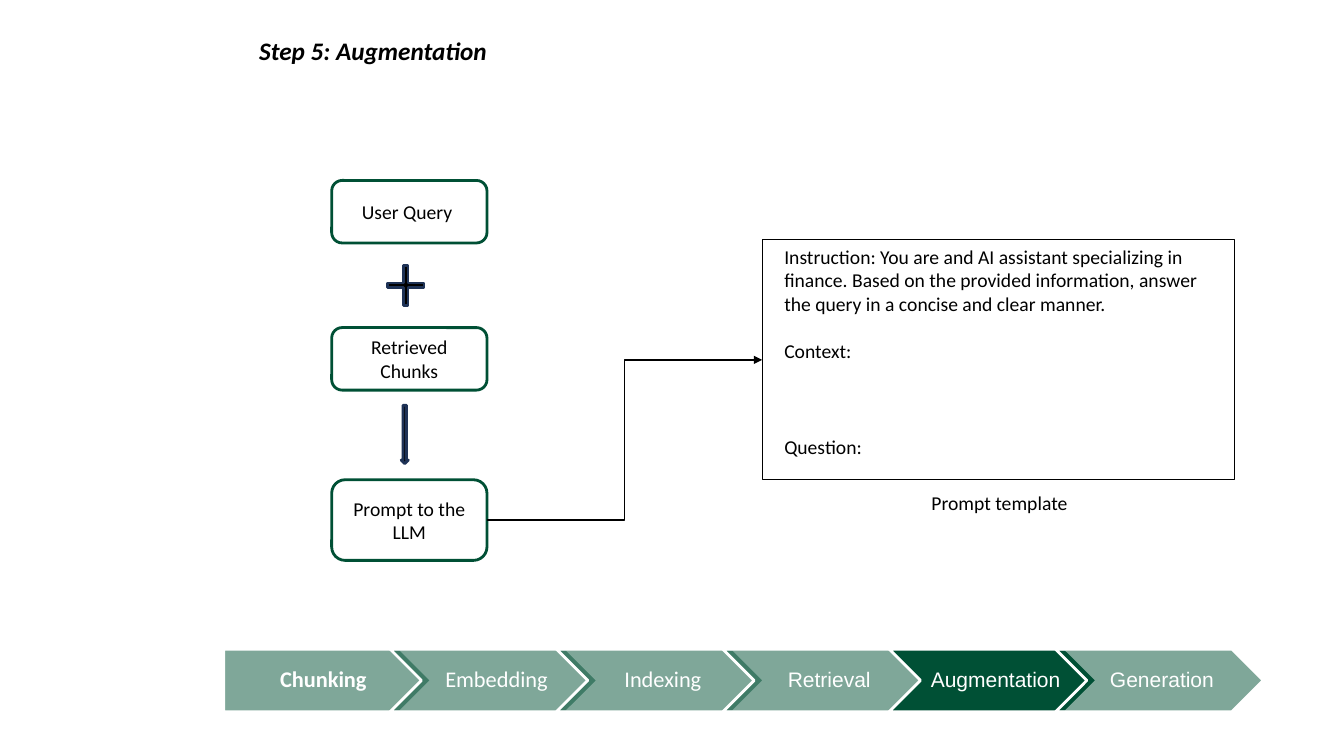
"""Build the slide on the augmentation step of a retrieval pipeline."""
from lxml import etree
from pptx import Presentation
from pptx.dml.color import RGBColor
from pptx.enum.shapes import MSO_CONNECTOR as Connector, MSO_SHAPE as Shape
from pptx.enum.text import MSO_ANCHOR as Anchor, PP_ALIGN as Align
from pptx.oxml.ns import qn
from pptx.util import Inches, Pt

BLACK = RGBColor(0x00, 0x00, 0x00)
WHITE = RGBColor(0xFF, 0xFF, 0xFF)
GREEN = RGBColor(0x00, 0x50, 0x35)
NAVY = RGBColor(0x1E, 0x32, 0x56)

BODY = {"name": "Calibri", "size": Pt(14), "bold": False}
TITLE = {"name": "Calibri", "size": Pt(18), "bold": True, "italic": True}
STAGE_CALIBRI = {"name": "Calibri", "size": Pt(16), "bold": False}
STAGE_ARIAL = {"name": "Arial", "size": Pt(15), "bold": False}

STAGES = [
    ("Chunking", {**STAGE_CALIBRI, "bold": True}),
    ("Embedding", STAGE_CALIBRI),
    ("Indexing", STAGE_CALIBRI),
    ("Retrieval", STAGE_ARIAL),
    ("Augmentation", STAGE_ARIAL),
    ("Generation", STAGE_ARIAL),
]
CURRENT_STAGE = "Augmentation"
STAGE_LEFT, STAGE_TOP, STAGE_STEP = 2.22, 6.44, 1.65
STAGE_WIDTH, STAGE_HEIGHT = 2.06, 0.62

FLOW_BOXES = [
    ("User Query ", 1.79, 0.62),
    ("Retrieved Chunks", 3.25, 0.62),
    ("Prompt to the LLM", 4.76, 0.8),
]
PROMPT_PARTS = [
    ("Instruction: You are and AI assistant specializing in finance. Based on "
     "the provided information, answer the query in a concise and clear manner.", 0),
    ("Context:", 1),
    ("Question:", 3),
]
BLANK_LINE = 17.1


def set_all(target, values):
    """Set every attribute named in values on the target."""
    for name, value in values.items():
        setattr(target, name, value)


def write(para, text, style, color=BLACK, align=Align.LEFT):
    """Write one formatted span into a paragraph."""
    para.alignment = align
    span = para.add_run()
    span.text = text
    set_all(span.font, style)
    span.font.color.rgb = color


def add_shape(page, kind, place, line, width, fill=None):
    """Add an outlined shape without shadow."""
    shape = page.shapes.add_shape(kind, *map(Inches, place))
    shape.shadow.inherit = False
    shape.line.color.rgb = line
    shape.line.width = Pt(width)
    if fill is None:
        shape.fill.background()
    else:
        shape.fill.solid()
        shape.fill.fore_color.rgb = fill
    return shape


def add_title(page, text):
    """Place and fill the title placeholder."""
    title = page.shapes.title
    set_all(title, {"left": Inches(2.47), "top": Inches(0.3),
                    "width": Inches(8.93), "height": Inches(0.4)})
    title.text_frame.vertical_anchor = Anchor.TOP
    write(title.text_frame.paragraphs[0], text, TITLE)


def add_flow_box(page, text, top, height):
    """Add a rounded box of the left column."""
    box = add_shape(page, Shape.ROUNDED_RECTANGLE, (3.29, top, 1.54, height), GREEN, 2)
    write(box.text_frame.paragraphs[0], text, BODY, align=Align.CENTER)
    return box


def add_prompt_template(page):
    """Add the prompt template box and its caption."""
    box = add_shape(page, Shape.RECTANGLE, (7.56, 2.38, 4.68, 2.38), BLACK, 0.75)
    frame = box.text_frame
    frame.vertical_anchor = Anchor.TOP
    for index, (text, blanks) in enumerate(PROMPT_PARTS):
        para = frame.add_paragraph() if index else frame.paragraphs[0]
        para.space_before = Pt(blanks * BLANK_LINE)
        properties = para._p.get_or_add_pPr()
        properties.set("marL", str(Inches(0.12)))
        properties.set("indent", "0")
        write(para, text, BODY)
    caption = page.shapes.add_textbox(*map(Inches, (9.14, 4.82, 2.23, 0.34)))
    caption.text_frame.word_wrap = True
    write(caption.text_frame.paragraphs[0], "Prompt template", BODY)
    return box


def add_elbow_arrow(page, start, end):
    """Join the right side of one box to the left side of another."""
    arrow = page.shapes.add_connector(
        Connector.ELBOW, Inches(4.82), Inches(5.16), Inches(7.56), Inches(3.57))
    arrow.begin_connect(start, 3)
    arrow.end_connect(end, 1)
    arrow.line.color.rgb = BLACK
    arrow.line.width = Pt(1)
    line = arrow.line._get_or_add_ln()
    etree.SubElement(line, qn("a:tailEnd"), type="triangle")
    etree.SubElement(arrow._element.spPr, qn("a:effectLst"))


def add_stage(page, index, text, style):
    """Add one stage of the process bar, solid if it is the current one."""
    kind = Shape.CHEVRON if index else Shape.PENTAGON
    place = (STAGE_LEFT + index * STAGE_STEP, STAGE_TOP, STAGE_WIDTH, STAGE_HEIGHT)
    stage = add_shape(page, kind, place, WHITE, 2, GREEN)
    if text != CURRENT_STAGE:
        color = stage._element.spPr.find(qn("a:solidFill"))[0]
        etree.SubElement(color, qn("a:alpha"), val="50000")
    frame = stage.text_frame
    set_all(frame, {"margin_left": Inches(0.07 if index else 0.09),
                    "margin_right": Inches(0.02)})
    para = frame.paragraphs[0]
    para.line_spacing = 0.9
    write(para, text, style, WHITE, Align.CENTER)


def main():
    """Build and save the deck."""
    deck = Presentation()
    deck.slide_width, deck.slide_height = Inches(13.33), Inches(7.5)
    page = deck.slides.add_slide(deck.slide_layouts[5])
    add_title(page, "Step 5: Augmentation")
    for index, (text, style) in enumerate(STAGES):
        add_stage(page, index, text, style)
    template = add_prompt_template(page)
    boxes = [add_flow_box(page, *entry) for entry in FLOW_BOXES]
    plus = add_shape(page, Shape.MATH_PLUS, (3.78, 2.56, 0.49, 0.54), NAVY, 2, BLACK)
    plus.adjustments[0] = 0.09
    add_shape(page, Shape.DOWN_ARROW, (3.98, 4.02, 0.07, 0.58), NAVY, 2, BLACK)
    add_elbow_arrow(page, boxes[-1], template)
    deck.save("out.pptx")


if __name__ == "__main__":
    main()
